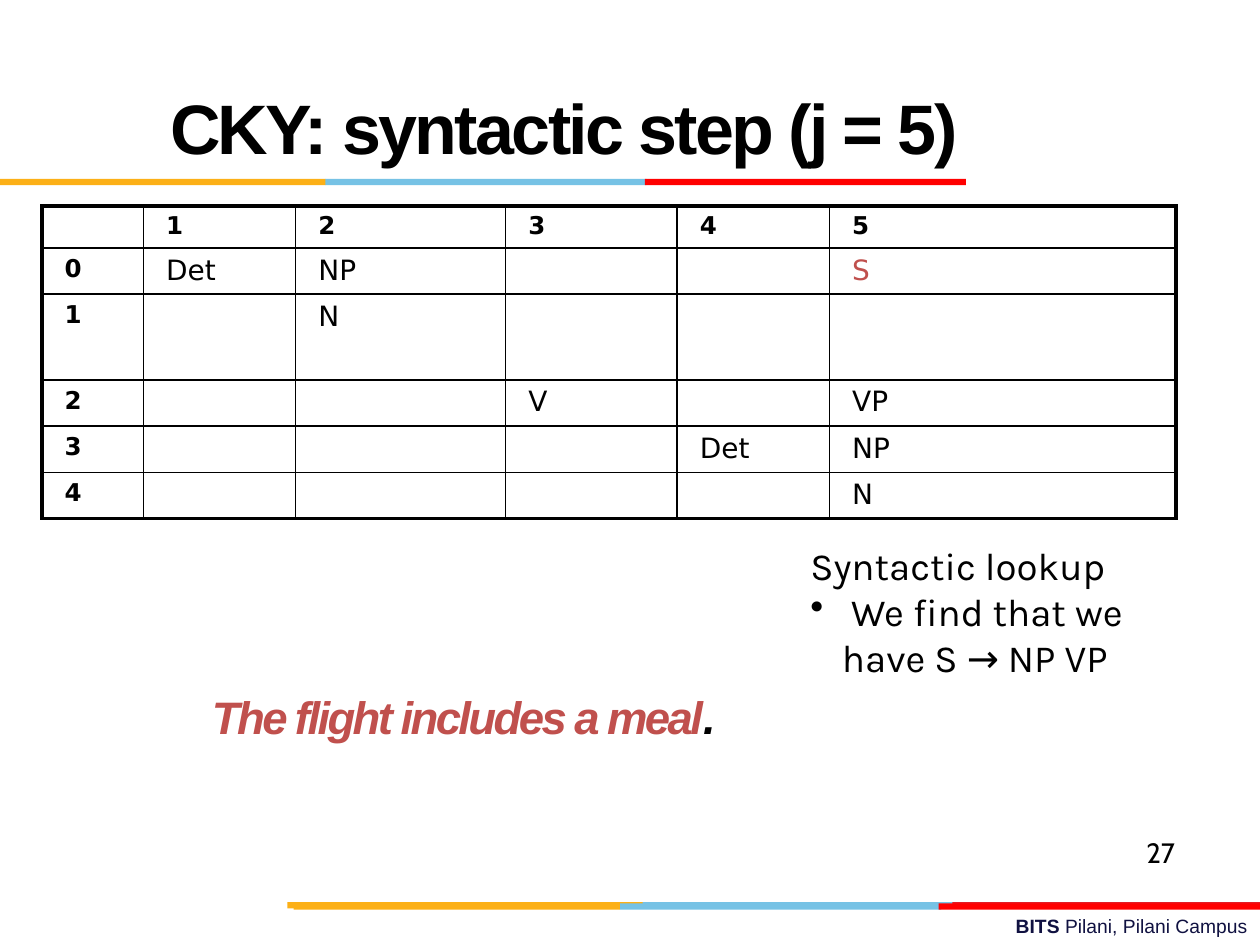
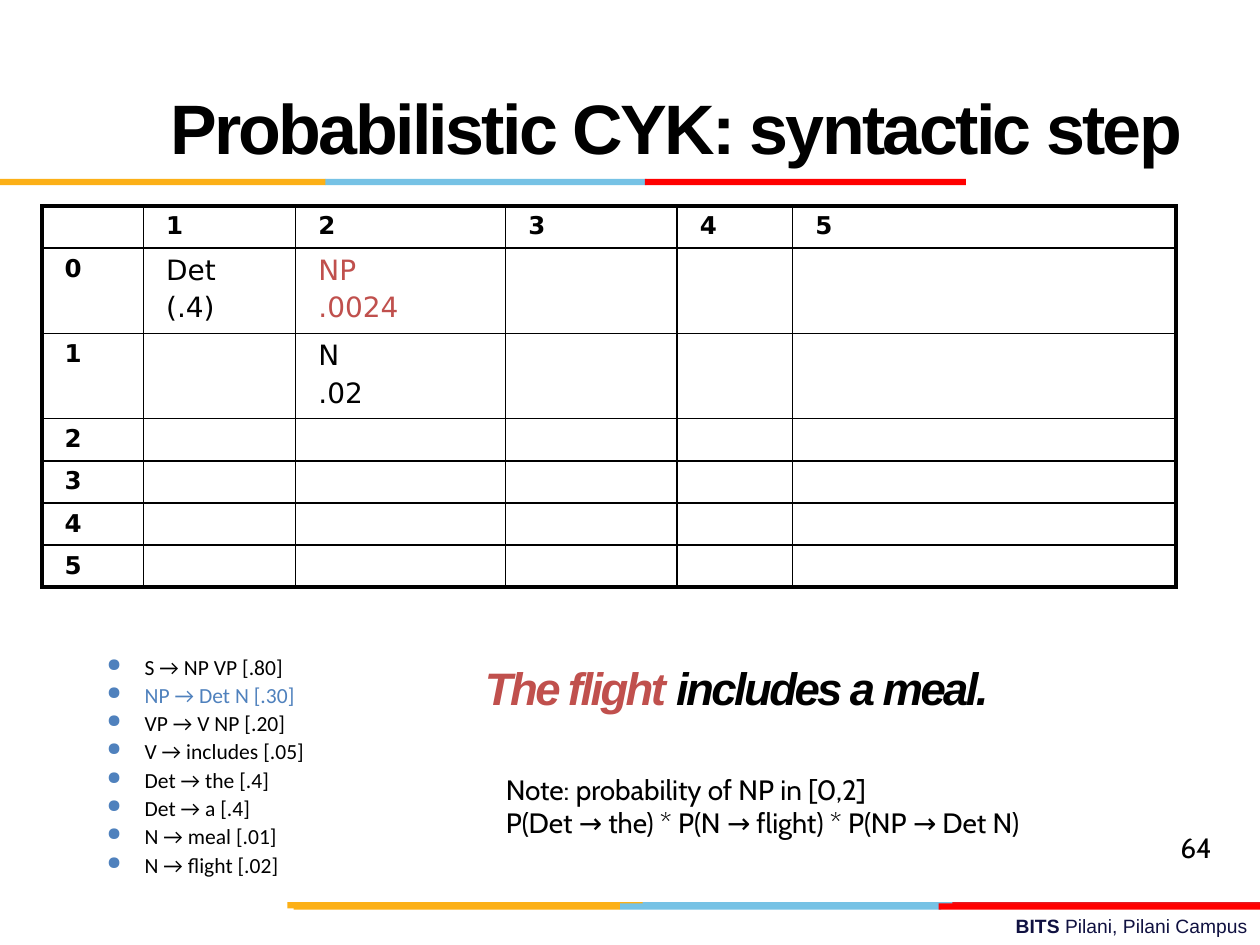
from dataclasses import dataclass

from lxml import etree
from pptx import Presentation
from pptx import util as u
from pptx.dml.color import RGBColor
from pptx.enum import shapes, text
from pptx.oxml.ns import qn


@dataclass(frozen=True)
class Theme:
    black: str = "000000"
    accent: str = "C0504D"
    blue: str = "4F81BD"
    navy: str = "101141"
    orange: str = "FCB017"
    sky: str = "76C2E5"
    crimson: str = "E31C24"
    red: str = "FF0000"
    grid_size: float = 14
    cell_size: float = 16
    outer_line: float = 2.25
    inner_line: float = 1

    def style(self, name, size, color=None, **extra):
        return {"name": name, "size": u.Pt(size), "color": color or self.black, **extra}

    @property
    def title(self):
        return self.style("Arial", 40, bold=True, spacing=-150)

    @property
    def sentence(self):
        return self.style("Arial", 26, bold=True, italic=True, spacing=-150)

    @property
    def footer(self):
        return self.style("Arial", 11, self.navy)

    @property
    def header_cell(self):
        return self.style("DejaVu Sans", self.grid_size, bold=True)

    @property
    def body_cell(self):
        return self.style("DejaVu Sans", self.cell_size, bold=False)

    @property
    def lookup(self):
        return self.style("Karla", 22)

    @property
    def note(self):
        return self.style("Cabin", 16)

    @property
    def rule(self):
        return self.style("Calibri", 12.3)


THEME = Theme()

# left, top, width, colour
STRIPES = [
    (364.3, 515.5, 183.6, THEME.sky),
    (544.3, 515.5, 175.7, THEME.crimson),
    (164.2, 515.5, 203, THEME.orange),
    (354.2, 516.2, 183.6, THEME.sky),
    (167.8, 516.2, 186.4, THEME.orange),
    (536.4, 516.2, 183.6, THEME.red),
    (185.8, 102.2, 183.6, THEME.sky),
    (0, 102.2, 186, THEME.orange),
    (368.6, 102.2, 183.4, THEME.red),
]
STRIPE_HEIGHT = 3.6
FIRST_COLUMNS = [58, 87, 120, 98]


def points(*lengths):
    return [u.Pt(length) for length in lengths]


def add_span(para, words, style):
    span = para.add_run()
    span.text = words
    for key, value in style.items():
        if key == "color":
            span.font.color.rgb = RGBColor.from_string(value)
        elif key == "spacing":
            span._r.get_or_add_rPr().set("spc", str(value))
        else:
            setattr(span.font, key, value)


def add_bullet(para, char, indent, color=None, percent=100):
    props = para._p.get_or_add_pPr()
    props.set("marL", str(u.Pt(indent)))
    props.set("indent", str(-u.Pt(indent)))
    if color:
        holder = etree.SubElement(props, qn("a:buClr"))
        etree.SubElement(holder, qn("a:srgbClr"), val=color)
    etree.SubElement(props, qn("a:buSzPct"), val=str(percent * 1000))
    etree.SubElement(props, qn("a:buChar"), char=char)


def next_para(frame, index):
    return frame.add_paragraph() if index else frame.paragraphs[0]


def add_text(slide, area, lines, style, anchor=text.MSO_ANCHOR.TOP,
             align=text.PP_ALIGN.LEFT):
    """Each line is a list of (words, style changes) pairs."""
    frame = slide.shapes.add_textbox(*points(*area)).text_frame
    frame.word_wrap = True
    frame.vertical_anchor = anchor
    for index, line in enumerate(lines):
        para = next_para(frame, index)
        para.alignment = align
        for words, changes in line:
            add_span(para, words, {**style, **changes})
    return frame


def add_stripes(slide):
    for left, top, width, color in STRIPES:
        stripe = slide.shapes.add_shape(
            shapes.MSO_SHAPE.RECTANGLE, *points(left, top, width, STRIPE_HEIGHT))
        stripe.shadow.inherit = False
        stripe.fill.solid()
        stripe.fill.fore_color.rgb = RGBColor.from_string(color)
        stripe.line.fill.background()


def set_title(slide, words):
    title = slide.shapes.title
    title.left, title.top, title.width, title.height = points(90, 24, 630, 96)
    frame = title.text_frame
    frame.word_wrap = True
    frame.vertical_anchor = text.MSO_ANCHOR.MIDDLE
    para = frame.paragraphs[0]
    para.alignment = text.PP_ALIGN.LEFT
    add_span(para, words, THEME.title)


def add_page(deck, title, number, number_area):
    slide = deck.slides.add_slide(deck.slide_layouts.get_by_name("Title Only"))
    set_title(slide, title)
    add_stripes(slide)
    add_text(slide, (257.8, 519.1, 462.2, 21),
             [[("BITS ", {"bold": True}), ("Pilani, Pilani Campus", {})]],
             THEME.footer, align=text.PP_ALIGN.RIGHT)
    add_text(slide, number_area, [[(number, {})]], THEME.note)
    return slide


def set_borders(cell, outer_sides):
    props = cell._tc.get_or_add_tcPr()
    for side in "LRTB":
        width = THEME.outer_line if side in outer_sides else THEME.inner_line
        line = etree.SubElement(props, qn(f"a:ln{side}"), w=str(u.Pt(width)))
        fill = etree.SubElement(line, qn("a:solidFill"))
        etree.SubElement(fill, qn("a:srgbClr"), val=THEME.black)


def fill_cell(cell, words, style):
    margins = {"margin_left": 13, "margin_right": 13, "margin_top": 3.6, "margin_bottom": 3.6}
    for key, value in margins.items():
        setattr(cell, key, u.Pt(value))
    if not words:
        end = cell.text_frame.paragraphs[0]._p
        etree.SubElement(end, qn("a:endParaRPr"), sz=str(THEME.grid_size * 100))
        return
    for index, line in enumerate(words.split("\n")):
        para = next_para(cell.text_frame, index)
        if index:
            para.space_before = u.Pt(0.2 * THEME.cell_size)
        add_span(para, line, style)


def add_chart_table(slide, last_columns, heights, entries, new_entry):
    """Draw a parse chart; entries maps (start, end) to text, new_entry is in red."""
    widths = FIRST_COLUMNS + last_columns
    table = slide.shapes.add_table(
        len(heights), len(widths),
        *points(24, 117.6, sum(widths), sum(heights))).table
    table.first_row = table.horz_banding = False
    for column, width in zip(table.columns, widths):
        column.width = u.Pt(width)
    last_row, last_column = len(heights) - 1, len(widths) - 1
    for r, height in enumerate(heights):
        table.rows[r].height = u.Pt(height)
        for c in range(len(widths)):
            cell = table.cell(r, c)
            edges = {"L": c == 0, "R": c == last_column, "T": r == 0, "B": r == last_row}
            set_borders(cell, [side for side, outer in edges.items() if outer])
            cell.fill.background()
            span = (r - 1, c)
            if r and c:
                words, style = entries.get(span, ""), THEME.body_cell
            else:
                words = str(c or r - 1) if r or c else ""
                style = THEME.header_cell
            if span == new_entry:
                style = {**style, "color": THEME.accent}
            fill_cell(cell, words, style)


def add_sentence(slide, left, top, parsed, rest):
    add_text(slide, (left, top, 498, 90),
             [[(parsed, {"color": THEME.accent}), (rest, {})]],
             THEME.sentence, anchor=text.MSO_ANCHOR.MIDDLE)


def add_grammar(slide, rules, used_rule):
    lines = [[(rule, {"color": THEME.blue} if rule == used_rule else {})] for rule in rules]
    frame = add_text(slide, (54, 374, 186, 136), lines, THEME.rule)
    for index, para in enumerate(frame.paragraphs):
        para.line_spacing = 0.7
        if index:
            para.space_before = u.Pt(5.8)
        add_bullet(para, "●", 21.6, THEME.blue, 85)


def build_cky_slide(deck):
    slide = add_page(deck, "CKY: syntactic step (j = 5)", "27", (648, 473.8, 36, 26.6))
    entries = {(0, 1): "Det", (0, 2): "NP", (0, 5): "S", (1, 2): "N", (2, 3): "V",
               (2, 5): "VP", (3, 4): "Det", (3, 5): "NP", (4, 5): "N"}
    add_chart_table(slide, [87, 198], [24, 26.3, 49, 26.3, 26.3, 26.3], entries, (0, 5))
    add_sentence(slide, 114, 364.3, "The flight includes a meal", ".")
    lookup = add_text(slide, (456, 306, 234, 90),
                      [[("Syntactic lookup", {})],
                       [(" We find that we have S → NP VP", {})]], THEME.lookup)
    add_bullet(lookup.paragraphs[1], "•", 18)


def build_probabilistic_slide(deck):
    slide = add_page(deck, "Probabilistic CYK: syntactic step", "64", (667.4, 470.9, 36, 26.6))
    entries = {(0, 1): "Det\n(.4)", (0, 2): "NP\n.0024", (1, 2): "N\n.02"}
    add_chart_table(slide, [66, 219], [24, 48.8, 48.8] + [24] * 4, entries, (0, 2))
    add_sentence(slide, 270, 347.8, "The flight", " includes a meal.")
    used_rule = "NP → Det N [.30]"
    add_grammar(slide, ["S → NP VP [.80]", used_rule, "VP → V NP [.20]",
                        "V → includes [.05]", "Det → the [.4]", "Det → a [.4]",
                        "N → meal [.01]", "N → flight [.02]"], used_rule)
    add_text(slide, (282, 437.8, 348.5, 46),
             [[("Note: probability of NP in [0,2]", {})],
              [("P(Det → the) * P(N → flight) * P(NP → Det N)", {})]], THEME.note)


def main():
    deck = Presentation()
    deck.slide_width, deck.slide_height = points(720, 540)
    build_cky_slide(deck)
    build_probabilistic_slide(deck)
    deck.save("out.pptx")


if __name__ == "__main__":
    main()
